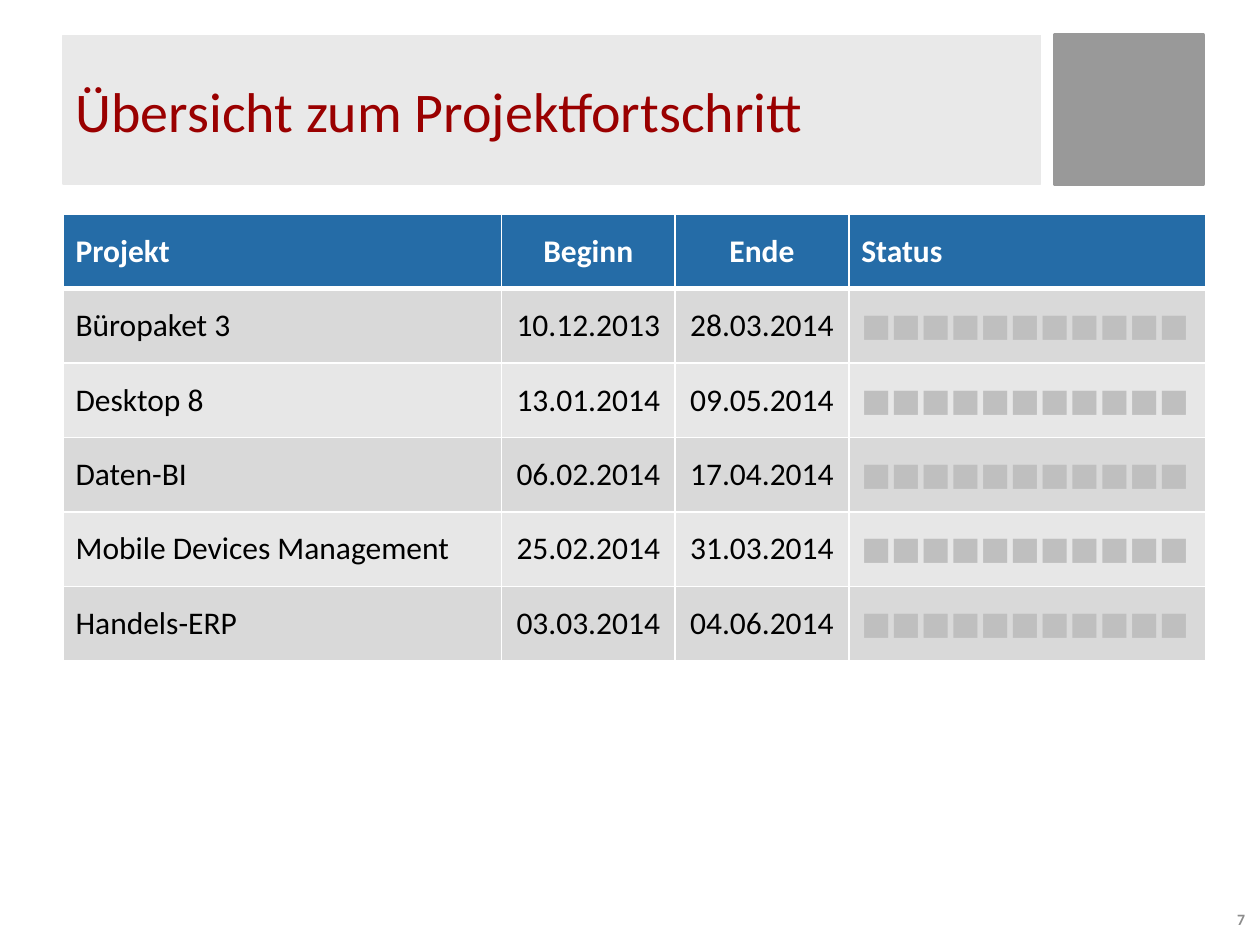
from lxml.etree import SubElement
from pptx import Presentation
from pptx.dml.color import RGBColor
from pptx.enum.shapes import MSO_SHAPE
from pptx.enum.text import MSO_ANCHOR, MSO_AUTO_SIZE, PP_ALIGN
from pptx.oxml.ns import qn
from pptx.util import Cm, Pt

COLORS = {
    "title": "9A0000", "title_bar": "E9E9E9", "square": "999999",
    "header": "256CA7", "odd_row": "D9D9D9", "even_row": "E7E7E7",
    "white": "FFFFFF", "text": "000000", "status": "BFBFBF", "page": "8C8C8C",
}
LEFT, BAND_TOP, BAND_HEIGHT = Cm(1.27), Cm(0.71), Cm(3)
COLUMN_WIDTHS = [8.84, 3.5, 3.5, 7.2]
ROW_HEIGHT = 1.5
STATUS = "■" * 11
ROWS = [
    ("Projekt", "Beginn", "Ende", "Status"),
    ("Büropaket 3", "10.12.2013", "28.03.2014", STATUS),
    ("Desktop 8", "13.01.2014", "09.05.2014", STATUS),
    ("Daten-BI", "06.02.2014", "17.04.2014", STATUS),
    ("Mobile Devices Management", "25.02.2014", "31.03.2014", STATUS),
    ("Handels-ERP", "03.03.2014", "04.06.2014", STATUS),
]


def rgb(name):
    return RGBColor.from_string(COLORS[name])


def write(frame, text, size=18, color="text", bold=False, align=PP_ALIGN.LEFT):
    frame.vertical_anchor = MSO_ANCHOR.MIDDLE
    paragraph = frame.paragraphs[0]
    paragraph.alignment = align
    run = paragraph.add_run()
    run.text = text
    run.font.name = "Calibri"
    run.font.size = Pt(size)
    run.font.bold = bold
    run.font.color.rgb = rgb(color)


prs = Presentation()
prs.slide_width, prs.slide_height = Cm(25.4), Cm(19.05)
slide = prs.slides.add_slide(prs.slide_layouts[5])

# Title bar and square
title = slide.shapes.title
title.left, title.top, title.width, title.height = LEFT, BAND_TOP, Cm(19.71), BAND_HEIGHT
title.text_frame.auto_size = MSO_AUTO_SIZE.NONE
write(title.text_frame, "Übersicht zum Projektfortschritt", size=32, color="title")
square = slide.shapes.add_shape(MSO_SHAPE.RECTANGLE, Cm(21.26), BAND_TOP, BAND_HEIGHT, BAND_HEIGHT)
square.shadow.inherit = False
for band, color, line_width in ((title, "title_bar", 0.75), (square, "square", 2)):
    band.fill.solid()
    band.fill.fore_color.rgb = rgb(color)
    band.line.color.rgb = rgb(color)
    band.line.width = Pt(line_width)

# Project table
projects = slide.shapes.add_table(
    len(ROWS), len(COLUMN_WIDTHS), LEFT, Cm(4.32),
    Cm(sum(COLUMN_WIDTHS)), Cm(ROW_HEIGHT * len(ROWS))).table
for column, width in zip(projects.columns, COLUMN_WIDTHS):
    column.width = Cm(width)
for r, row in enumerate(ROWS):
    projects.rows[r].height = Cm(ROW_HEIGHT)
    header = r == 0
    background = "header" if header else "odd_row" if r % 2 else "even_row"
    for c, text in enumerate(row):
        cell = projects.cell(r, c)
        cell.vertical_anchor = MSO_ANCHOR.MIDDLE
        color = "white" if header else "status" if c == 3 else "text"
        write(cell.text_frame, text, color=color, bold=header,
              align=PP_ALIGN.CENTER if c in (1, 2) else PP_ALIGN.LEFT)
        # White borders, heavier around the edge below the header
        properties = cell._tc.get_or_add_tcPr()
        for side in ("L", "R", "T", "B"):
            heavy = (r, side) in ((0, "B"), (1, "T"))
            border = SubElement(properties, qn(f"a:ln{side}"), w=str(Pt(3 if heavy else 1)))
            SubElement(SubElement(border, qn("a:solidFill")), qn("a:srgbClr"), val=COLORS["white"])
        cell.fill.solid()
        cell.fill.fore_color.rgb = rgb(background)

# Page number
page = slide.shapes.add_textbox(Cm(23.32), Cm(18.14), Cm(2.03), Cm(0.79))
page.text_frame.word_wrap = True
write(page.text_frame, "7", size=9, color="page", bold=True, align=PP_ALIGN.RIGHT)

prs.save("out.pptx")
